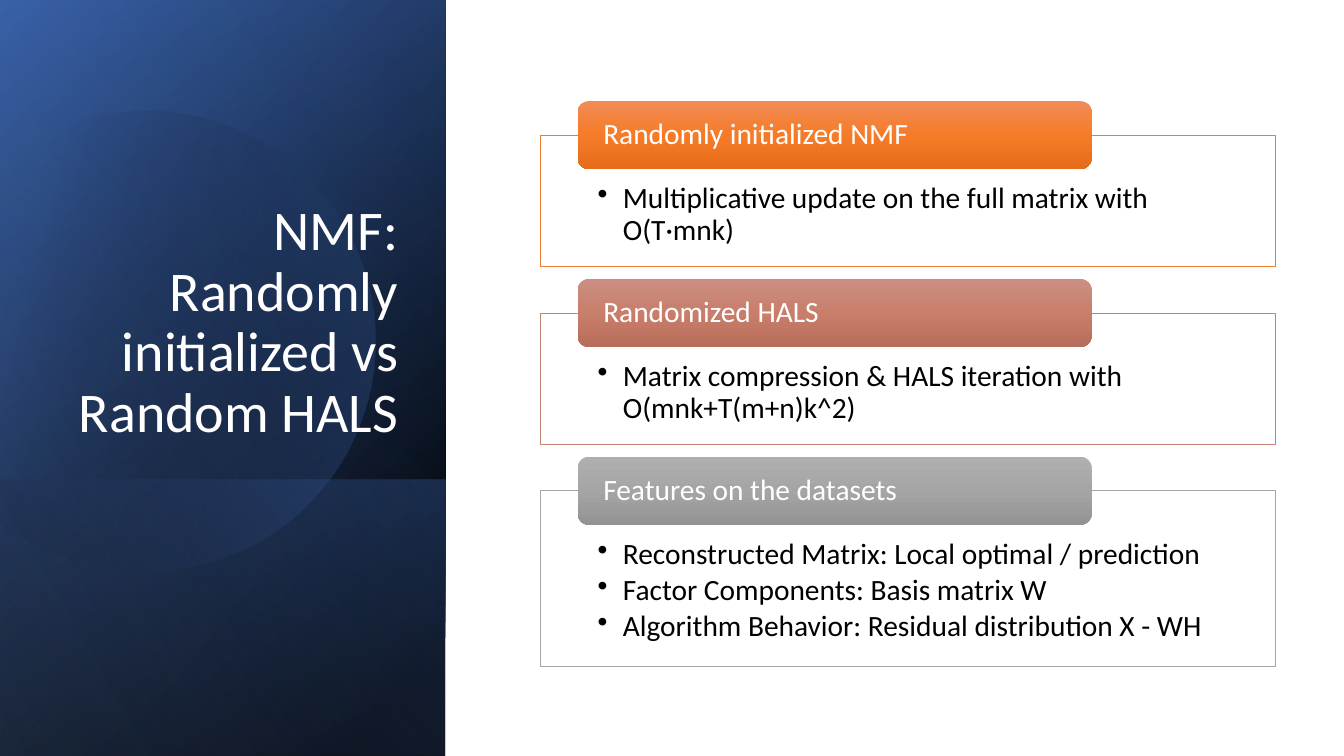
from math import cos, radians, sin

from lxml import etree
from pptx import Presentation
from pptx.dml.color import RGBColor
from pptx.enum.shapes import MSO_SHAPE
from pptx.enum.text import MSO_ANCHOR, MSO_AUTO_SIZE, PP_ALIGN
from pptx.oxml.ns import qn
from pptx.util import Pt

RECTANGLE, ROUNDED = MSO_SHAPE.RECTANGLE, MSO_SHAPE.ROUNDED_RECTANGLE
TOP, MIDDLE, BOTTOM = MSO_ANCHOR.TOP, MSO_ANCHOR.MIDDLE, MSO_ANCHOR.BOTTOM
LEFT, RIGHT = PP_ALIGN.LEFT, PP_ALIGN.RIGHT

BLACK = RGBColor(0x00, 0x00, 0x00)
WHITE = RGBColor(0xFF, 0xFF, 0xFF)
NAVY = RGBColor(0x2F, 0x55, 0x97)
BLUE = RGBColor(0x44, 0x72, 0xC4)
PALE_BLUE = RGBColor(0x8F, 0xAA, 0xDC)
ORANGE = RGBColor(0xED, 0x7D, 0x31)
CLAY = RGBColor(0xC4, 0x81, 0x70)
GREY = RGBColor(0xA5, 0xA5, 0xA5)
ORANGE_TAB = [RGBColor(0xF1, 0x8C, 0x57), RGBColor(0xF6, 0x7B, 0x28), RGBColor(0xE5, 0x6C, 0x19)]
CLAY_TAB = [RGBColor(0xCB, 0x8F, 0x81), RGBColor(0xC9, 0x7E, 0x6B), RGBColor(0xB7, 0x6D, 0x5B)]
GREY_TAB = [RGBColor(0xAF, 0xAF, 0xAF), GREY, RGBColor(0x93, 0x93, 0x93)]

TITLE = "NMF: Randomly initialized vs Random HALS"
# heading, bullets, frame height, frame colour, tab gradient
CARDS = [
    ("Randomly initialized NMF",
     ["Multiplicative update on the full matrix with O(T·mnk)"],
     93.7, ORANGE, ORANGE_TAB),
    ("Randomized HALS",
     ["Matrix compression & HALS iteration with O(mnk+T(m+n)k^2)"],
     93.7, CLAY, CLAY_TAB),
    ("Features on the datasets",
     ["Reconstructed Matrix: Local optimal / prediction",
      "Factor Components: Basis matrix W",
      "Algorithm Behavior: Residual distribution X - WH"],
     125.7, GREY, GREY_TAB),
]

# Gradient stops: position, colour, opacity in percent
PANEL_BOX = (-110.9, 110.9, 540, 318.2)
PANELS_BEHIND_DISC = [
    (PANEL_BOX, [(8, BLACK, 100), (100, NAVY, 100)], 50),
    (PANEL_BOX, [(0, BLACK, 0), (99, BLUE, 46)], 30),
    ((60.5, 282.2, 197.3, 318.2), [(2, BLUE, 29), (100, BLACK, 30)], 130),
]
DISC_STOPS = [(29, BLACK, 0), (100, BLUE, 43)]
PANELS_OVER_DISC = [(PANEL_BOX, [(0, BLACK, 0), (99, PALE_BLUE, 11)], 120)]

DISC_CENTRE = (114.1, 240.8)
DISC_TURN = 343.9
DISC_START = (107.3, 79.2)
# Each curve: two control points and an end point; each line: an end point
DISC_OUTLINE = [
    [(177.1, 80.6), (241.2, 127.4), (261.4, 198)],
    [(286.6, 285.8), (236.2, 376.6), (149, 401.8)],
    [(94.3, 417.6), (38.2, 403.9), (-2.2, 370.1)],
    [(-10.8, 362.2)],
    [(-10.8, 126)],
    [(0, 115.9)],
    [(16.6, 102.2), (36, 91.4), (57.6, 85.7)],
    [(74.2, 81.4), (90.7, 79.2), (107.3, 79.2)],
]
CURVE_STEPS = 24

FRAME_LEFT, FRAME_TOP, FRAME_WIDTH, FRAME_GAP = 385.9, 96.5, 524.9, 33.3
TAB_LEFT, TAB_WIDTH, TAB_HEIGHT, TAB_RISE = 412.6, 367.2, 48.6, 24.3
BULLET_INDENT = 18

prs = Presentation()
prs.slide_width, prs.slide_height = Pt(960), Pt(540)
slide = prs.slides.add_slide(prs.slide_layouts[5])
shapes = slide.shapes


def set_all(target, values):
    for attribute, value in values.items():
        setattr(target, attribute, value)


def set_gradient(shape, stops, angle):
    shape.fill.background()
    gradient = etree.Element(qn("a:gradFill"), rotWithShape="1")
    stop_list = etree.SubElement(gradient, qn("a:gsLst"))
    for position, colour, opacity in stops:
        stop = etree.SubElement(stop_list, qn("a:gs"), pos=str(position * 1000))
        rgb = etree.SubElement(stop, qn("a:srgbClr"), val=str(colour))
        if opacity < 100:
            etree.SubElement(rgb, qn("a:alpha"), val=str(opacity * 1000))
    etree.SubElement(gradient, qn("a:lin"), ang=str(angle * 60000), scaled="0")
    properties = shape._element.spPr
    properties.replace(properties.find(qn("a:noFill")), gradient)
    shape.line.fill.background()
    shape.shadow.inherit = False


def add_box(kind, box):
    shape = shapes.add_shape(kind, *(Pt(length) for length in box))
    shape.shadow.inherit = False
    return shape


def add_panels(panels):
    for box, stops, angle in panels:
        panel = add_box(RECTANGLE, box)
        panel.rotation = 90
        panel._element.spPr.xfrm.set("flipH", "1")
        set_gradient(panel, stops, angle)


def disc_points():
    """Sample the outline, then turn it back so the shape's rotation restores it."""
    points = [DISC_START]
    for segment in DISC_OUTLINE:
        if len(segment) == 1:
            points += segment
            continue
        corners = [points[-1], *segment]
        for step in range(1, CURVE_STEPS + 1):
            t = step / CURVE_STEPS
            weights = ((1 - t) ** 3, 3 * t * (1 - t) ** 2, 3 * t * t * (1 - t), t ** 3)
            points.append(tuple(sum(w * c[axis] for w, c in zip(weights, corners))
                                for axis in (0, 1)))
    turn = radians(-DISC_TURN)
    cx, cy = DISC_CENTRE
    return [(Pt(cx + (x - cx) * cos(turn) - (y - cy) * sin(turn)),
             Pt(cy + (x - cx) * sin(turn) + (y - cy) * cos(turn))) for x, y in points]


def write(shape, lines, frame_format, paragraph_format, font_format, colour):
    text_frame = shape.text_frame
    set_all(text_frame, {"word_wrap": True, "auto_size": MSO_AUTO_SIZE.NONE, **frame_format})
    text_frame.text = "\n".join(lines)
    for paragraph in text_frame.paragraphs:
        set_all(paragraph, {"line_spacing": 0.9, **paragraph_format})
        for run in paragraph.runs:
            set_all(run.font, {"name": "Calibri", **font_format})
            run.font.color.rgb = colour


def add_bullets(shape):
    for paragraph in shape.text_frame.paragraphs:
        properties = paragraph._p.get_or_add_pPr()
        properties.set("marL", str(Pt(BULLET_INDENT)))
        properties.set("indent", str(-Pt(BULLET_INDENT)))
        etree.SubElement(properties, qn("a:buChar"), char="•")


add_panels(PANELS_BEHIND_DISC)
outline = disc_points()
builder = shapes.build_freeform(*outline[0])
builder.add_line_segments(outline[1:], close=True)
disc = builder.convert_to_shape()
disc.rotation = DISC_TURN
set_gradient(disc, DISC_STOPS, 30)
add_panels(PANELS_OVER_DISC)

title = shapes.title
set_all(title, {"left": Pt(46.1), "top": Pt(132.5), "width": Pt(245.5), "height": Pt(188.6)})
write(title, [TITLE], {"vertical_anchor": BOTTOM}, {"alignment": RIGHT}, {"size": Pt(40)}, WHITE)
shapes._spTree.append(title._element)  # bring the title in front of the panels

frame_top = FRAME_TOP
for heading, bullets, height, colour, tab_colours in CARDS:
    frame = add_box(RECTANGLE, (FRAME_LEFT, frame_top, FRAME_WIDTH, height))
    frame.fill.solid()
    frame.fill.fore_color.rgb = WHITE
    fill_colour = frame._element.spPr.find(qn("a:solidFill")).find(qn("a:srgbClr"))
    etree.SubElement(fill_colour, qn("a:alpha"), val="90000")
    frame.line.color.rgb = colour
    frame.line.width = Pt(0.5)
    write(frame, bullets,
          {"vertical_anchor": TOP, "margin_left": Pt(41), "margin_right": Pt(41),
           "margin_top": Pt(34.6), "margin_bottom": Pt(11.5)},
          {"alignment": LEFT, "level": 1, "space_after": Pt(3.15)}, {"size": Pt(21)}, BLACK)
    add_bullets(frame)

    tab = add_box(ROUNDED, (TAB_LEFT, frame_top - TAB_RISE, TAB_WIDTH, TAB_HEIGHT))
    set_gradient(tab, [(50 * i, shade, 100) for i, shade in enumerate(tab_colours)], 90)
    write(tab, [heading],
          {"vertical_anchor": MIDDLE, "margin_left": Pt(16), "margin_right": Pt(16),
           "margin_top": 0, "margin_bottom": 0},
          {"alignment": LEFT}, {"size": Pt(21)}, WHITE)
    frame_top += height + FRAME_GAP

prs.save("out.pptx")
